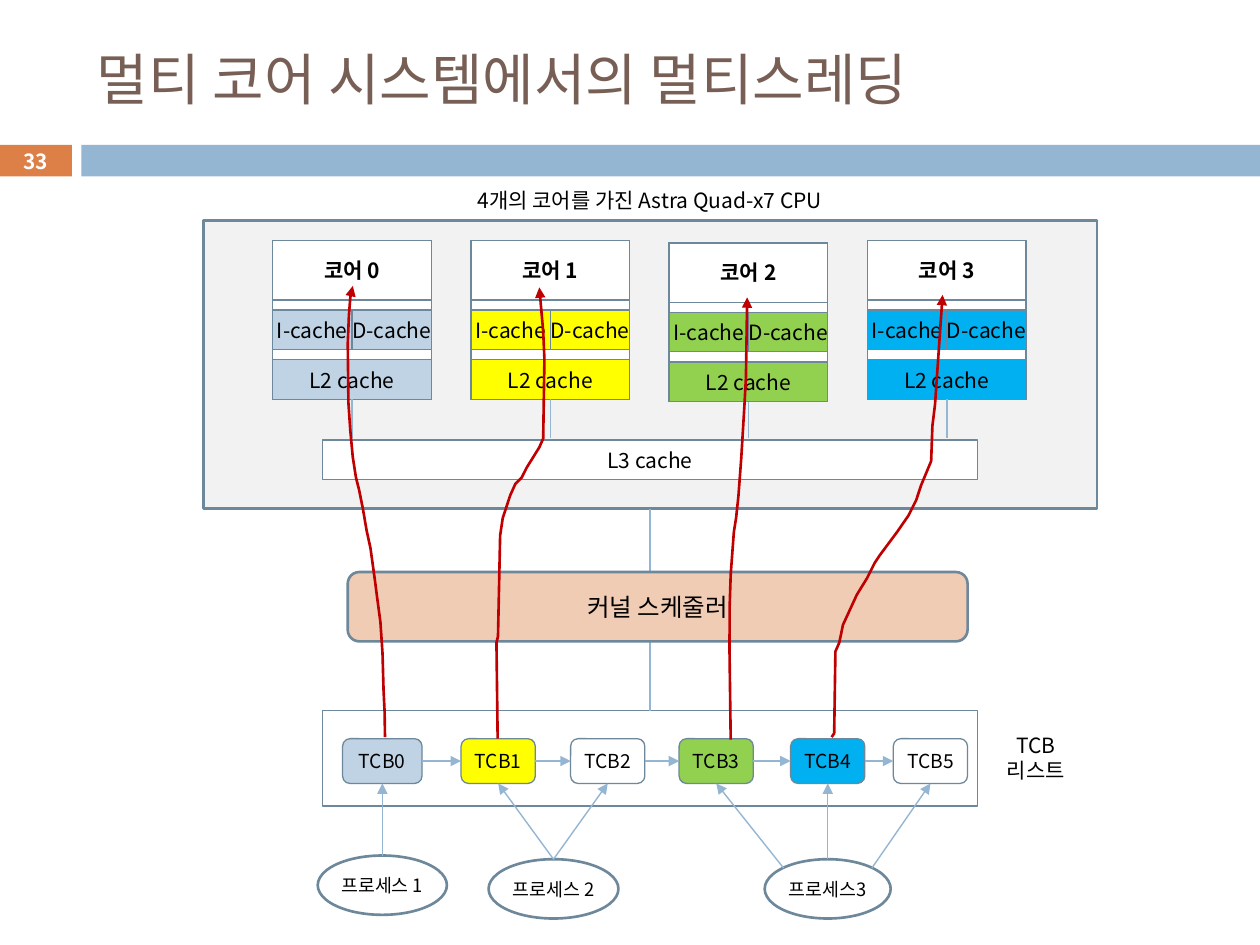
from collections import namedtuple
from dataclasses import dataclass

from lxml import etree
from pptx import Presentation
from pptx.dml.color import RGBColor
from pptx.enum.shapes import MSO_CONNECTOR, MSO_SHAPE
from pptx.enum.text import MSO_ANCHOR as Anchor, PP_ALIGN as Align
from pptx.oxml.ns import qn
from pptx.util import Pt

Box = namedtuple("Box", "x y w h")


@dataclass(frozen=True)
class Theme:
    font: str = "Noto Sans CJK KR"
    title: str = "775F55"
    text: str = "000000"
    white: str = "FFFFFF"
    accent: str = "DD8047"
    link: str = "94B6D2"
    outline: str = "6D879B"
    cpu: str = "F2F2F2"
    kernel: str = "F1CCB5"
    thread: str = "C00000"
    cores: tuple = ("BFD3E4", "FFFF00", "92D050", "00B0F0")
    title_size: float = 32
    kernel_size: float = 14
    label_size: float = 12
    number_size: float = 11.9
    tcb_size: float = 11
    process_size: float = 10.5
    thin: float = 0.75
    link_width: float = 0.8
    thick: float = 1.5


THEME = Theme()

# Thread routes: the arrow tip, then steps measured from the tip
THREADS = [
    ((201.6, 163.4), [
        (-1.4, 6.5), (-2.2, 16.6), (-2.9, 33), (-2.5, 67), (-1.4, 82.8), (0, 97.9),
        (1.8, 109.4), (3.6, 116.6), (5.8, 127.4), (7.9, 139.7), (10.1, 149.8),
        (12.6, 167.8), (13.7, 176.4), (15.8, 192.2), (17, 210), (17.6, 231),
        (18.2, 243.4), (18.4, 257.8)]),
    ((308.2, 164.2), [
        (2.2, 25.2), (2.9, 41), (2.2, 86.4), (0, 91.4), (-7.2, 103), (-10.1, 108.7),
        (-13.7, 112.3), (-16.6, 118.8), (-20.9, 131.8), (-22.4, 141.8),
        (-23.6, 199.4), (-24.5, 203), (-23.8, 257.8)]),
    ((427, 169.9), [
        (-0.7, 46), (-1.6, 62.6), (-3.4, 92.2), (-5, 113.8), (-6.3, 126), (-7.6, 134),
        (-9.4, 158.4), (-10, 176.4), (-10.1, 201.6), (-9.4, 252.7)]),
    ((538.6, 168.5), [
        (-4.3, 62.6), (-5.8, 74.9), (-6.5, 95), (-12.2, 108.7), (-15.1, 117.4),
        (-19.4, 126), (-25.9, 135.4), (-36, 149), (-38.9, 153.4), (-43.2, 162),
        (-49, 171.4), (-56.9, 188.6), (-59, 198.7), (-61.2, 203.8), (-61.9, 250.6),
        (-63.4, 252.7)]),
]


def rgb(color):
    return RGBColor.from_string(color)


def write(frame, text, size, color=THEME.text, bold=False, align=Align.CENTER):
    frame.text = text
    frame.vertical_anchor = Anchor.MIDDLE
    for paragraph in frame.paragraphs:
        paragraph.alignment = align
        for run in paragraph.runs:
            font = run.font
            font.name, font.size, font.bold = THEME.font, Pt(size), bold
            font.color.rgb = rgb(color)
            etree.SubElement(font._element, qn("a:ea"), typeface=THEME.font)


def clear_margins(frame):
    frame.margin_left = frame.margin_right = frame.margin_top = frame.margin_bottom = 0


def add_block(slide, box, text="", fill=None, size=THEME.label_size, bold=False,
              kind=MSO_SHAPE.RECTANGLE, width=THEME.thin, color=THEME.text):
    block = slide.shapes.add_shape(kind, *map(Pt, box))
    block.shadow.inherit = False
    if fill:
        block.fill.solid()
        block.fill.fore_color.rgb = rgb(fill)
    else:
        block.fill.background()
    if width:
        block.line.color.rgb = rgb(THEME.outline)
        block.line.width = Pt(width)
    else:
        block.line.fill.background()
    if text:
        clear_margins(block.text_frame)
        block.text_frame.word_wrap = False
        write(block.text_frame, text, size, color, bold)
    return block


def add_label(slide, box, text):
    label = slide.shapes.add_textbox(*map(Pt, box)).text_frame
    label.word_wrap = True
    clear_margins(label)
    write(label, text, THEME.label_size)


def add_arrowhead(line, end):
    etree.SubElement(line._get_or_add_ln(), qn(f"a:{end}"), type="triangle")


def add_link(slide, start=(0, 0), finish=(0, 0), source=None, target=None, arrow=False):
    """Draw a link; source and target are (shape, side) pairs."""
    link = slide.shapes.add_connector(MSO_CONNECTOR.STRAIGHT, *map(Pt, (*start, *finish)))
    if source:
        link.begin_connect(*source)
    if target:
        link.end_connect(*target)
    link.line.color.rgb = rgb(THEME.link)
    link.line.width = Pt(THEME.link_width)
    if arrow:
        add_arrowhead(link.line, "tailEnd")
    etree.SubElement(link._element.spPr, qn("a:effectLst"))


def draw_header(slide, box):
    bar_y, bar_h = box.y + 82.8, 18
    add_block(slide, Box(box.x - 0.7, bar_y, 41.8, bar_h), "33", THEME.accent,
              THEME.number_size, True, width=0, color=THEME.white)
    add_block(slide, Box(box.x + 46.5, bar_y, box.w - 46.5, bar_h), fill=THEME.link, width=0)
    title = slide.shapes.title
    title.left, title.top, title.width, title.height = map(
        Pt, (box.x + 48.2, box.y + 18, 642.2, 53.3))
    write(title.text_frame, "멀티 코어 시스템에서의 멀티스레딩", THEME.title_size,
          THEME.title, align=Align.LEFT)


def draw_core(slide, box, number, color, bus_y):
    half = box.w / 2
    add_block(slide, box, fill=THEME.white)
    add_block(slide, box._replace(h=33.9), f"코어 {number}", bold=True)
    for i, cache in enumerate(("I-cache", "D-cache")):
        add_block(slide, Box(box.x + i * half, box.y + 39.6, half, 22.5), cache, color)
    l2 = add_block(slide, Box(box.x, box.y + 68, box.w, 22.7), "L2 cache", color)
    add_link(slide, finish=(box.x + half, bus_y), source=(l2, 2))


def draw_cpu(slide, box):
    add_label(slide, Box(box.x + 147.5, box.y - 23.8, 215.3, 23.8),
              "4개의 코어를 가진 Astra Quad-x7 CPU")
    cpu = add_block(slide, box, fill=THEME.cpu, width=THEME.thick)
    l3 = Box(box.x + 68.1, box.y + 125.2, 374.4, 22.8)
    add_block(slide, l3, "L3 cache", THEME.white)
    for i, color in enumerate(THEME.cores):
        drop = 1.2 if i == 2 else 0  # core 2 sits slightly lower
        core = Box(box.x + 39.6 + i * 113.3, box.y + 11.4 + drop, 90.7, 90.7)
        draw_core(slide, core, i, color, l3.y - 1)
    return cpu


def draw_tcb_list(slide, box):
    frame = add_block(slide, box)
    lefts = (11.5, 79.2, 141.8, 203.8, 267.5, 326.2)
    grey, yellow, green, blue = THEME.cores
    tcbs = []
    for i, (left, fill) in enumerate(zip(lefts, (grey, yellow, None, green, blue, None))):
        tcb = Box(box.x + left, box.y + 16, 42.4 if i else 45.4, 25.6)
        tcbs.append(add_block(slide, tcb, f"TCB{i}", fill, THEME.tcb_size,
                              kind=MSO_SHAPE.ROUNDED_RECTANGLE))
    for tcb, following in zip(tcbs, tcbs[1:]):
        add_link(slide, source=(tcb, 3), target=(following, 1), arrow=True)
    add_label(slide, Box(box.x + box.w + 5.6, box.y + 15.1, 55.4, 23), "TCB\n리스트")
    return frame, tcbs


def draw_process(slide, box, name, tcbs):
    process = add_block(slide, box, name, size=THEME.process_size,
                        kind=MSO_SHAPE.OVAL, width=THEME.thick)
    if len(tcbs) < 3:
        for tcb in tcbs:
            add_link(slide, source=(process, 0), target=(tcb, 2), arrow=True)
        return
    # Three links fan out from the upper left, top and upper right of the oval
    for tcb, (across, down) in zip(tcbs, ((0.15, 0.15), (0.5, 0), (0.85, 0.15))):
        add_link(slide, start=(box.x + across * box.w, box.y + down * box.h),
                 source=None if down else (process, 0), target=(tcb, 2), arrow=True)


def draw_thread(slide, tip, steps):
    x, y = tip
    builder = slide.shapes.build_freeform(Pt(x), Pt(y))
    builder.add_line_segments([(Pt(x + dx), Pt(y + dy)) for dx, dy in steps], close=False)
    thread = builder.convert_to_shape()
    thread.shadow.inherit = False
    thread.fill.background()
    thread.line.color.rgb = rgb(THEME.thread)
    thread.line.width = Pt(THEME.thick)
    add_arrowhead(thread.line, "headEnd")


def main():
    deck = Presentation()
    deck.slide_width, deck.slide_height = Pt(720), Pt(540)
    slide = deck.slides.add_slide(deck.slide_layouts[5])
    draw_header(slide, Box(0, 0, 720, 101))
    cpu = draw_cpu(slide, Box(116.2, 126.2, 510.6, 164.4))
    tcb_list, tcbs = draw_tcb_list(slide, Box(184.3, 406.1, 374.4, 54.5))
    # The kernel scheduler covers the middle of the bus
    add_link(slide, source=(cpu, 2), target=(tcb_list, 0))
    add_block(slide, Box(198.7, 326.9, 354.2, 39.6), "커널 스케줄러", THEME.kernel,
              THEME.kernel_size, kind=MSO_SHAPE.ROUNDED_RECTANGLE, width=THEME.thick)
    draw_process(slide, Box(181.6, 488.9, 73.8, 33.9), "프로세스 1", tcbs[:1])
    draw_process(slide, Box(279.2, 491, 74.2, 33.9), "프로세스 2", tcbs[1:3])
    draw_process(slide, Box(437, 491, 72, 33.9), "프로세스3", tcbs[3:])
    for tip, steps in THREADS:
        draw_thread(slide, tip, steps)
    deck.save("out.pptx")


if __name__ == "__main__":
    main()
